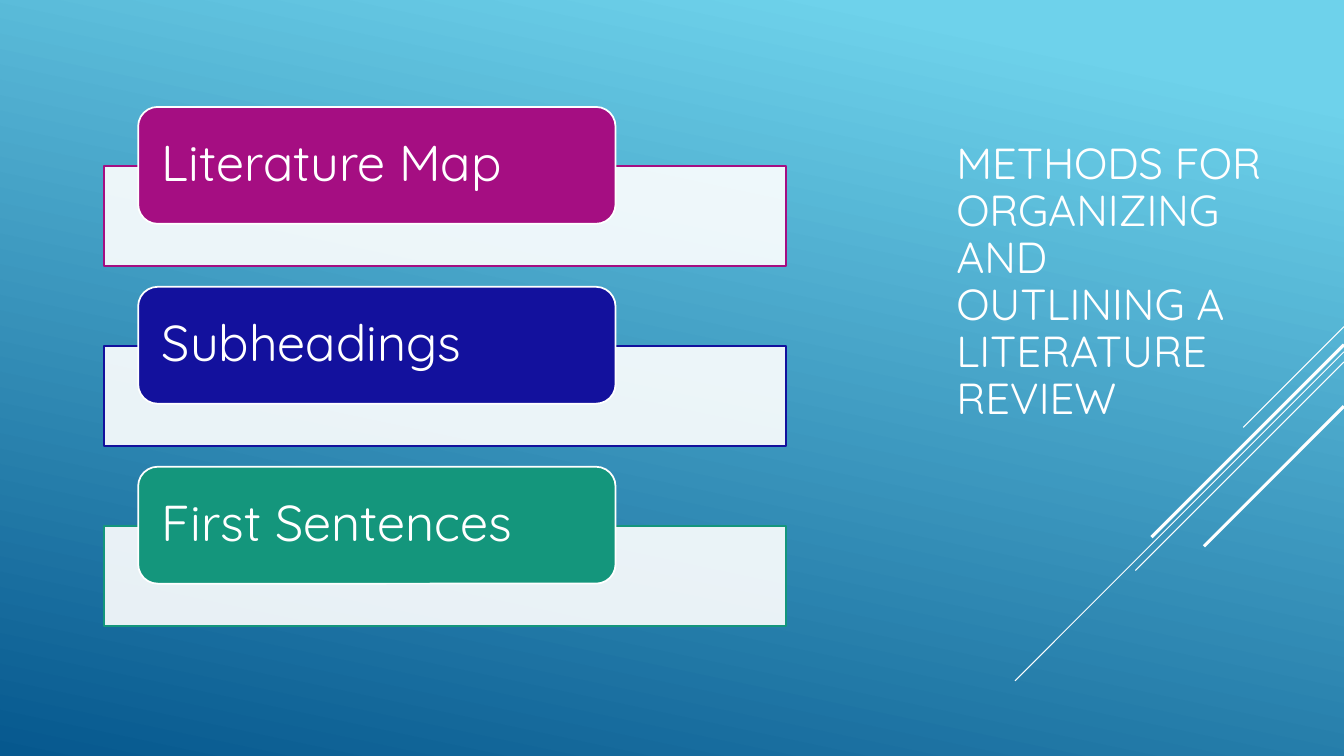
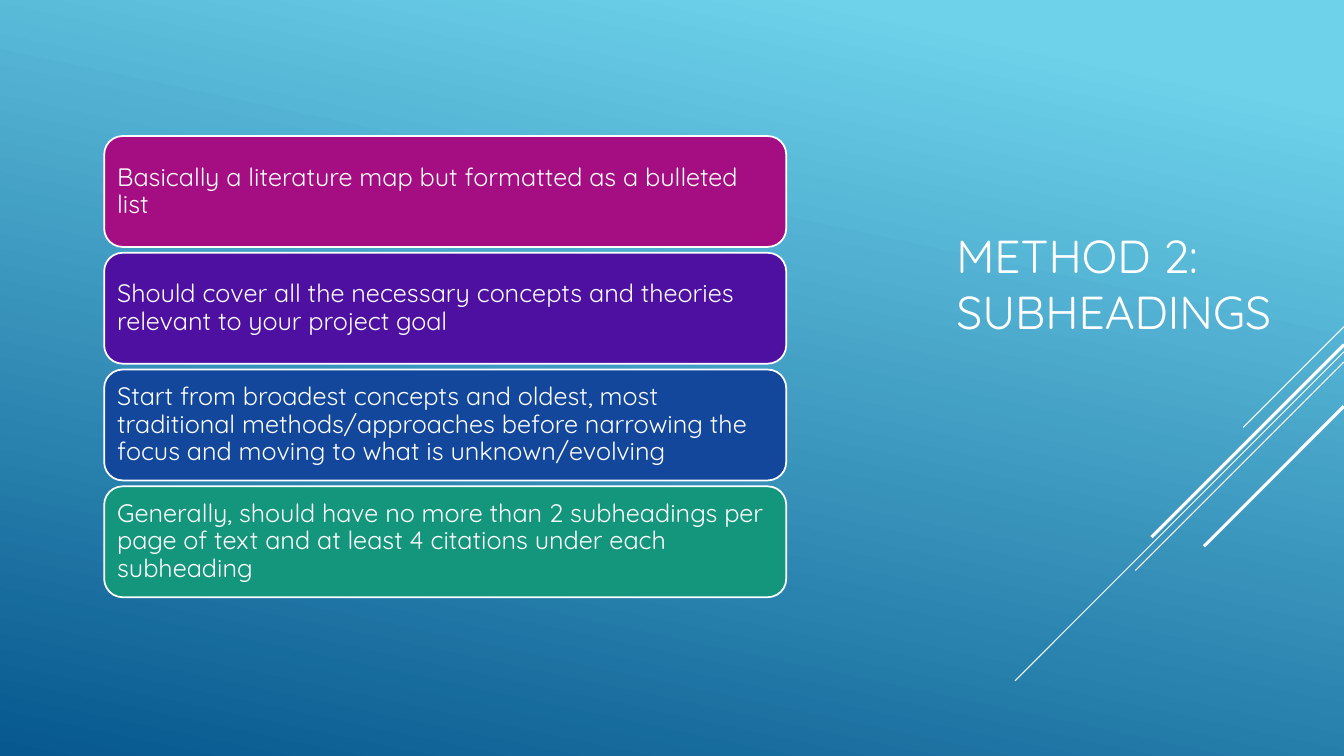
import pptx
import pptx.dml.color
import pptx.enum.shapes
import pptx.enum.text
import pptx.oxml.ns
import pptx.util
from dataclasses import dataclass
from lxml import etree

Pt = pptx.util.Pt
SHAPES = pptx.enum.shapes.MSO_SHAPE
SLIDE_WIDTH, SLIDE_HEIGHT = 960, 540
LIST_LEFT, LIST_WIDTH = 74.4, 487.2


@dataclass(frozen=True)
class Theme:
    font: str = "Quicksand"
    white: str = "FFFFFF"
    sky: str = "6ED2EB"
    sea: str = "06588E"
    magenta: str = "A50E82"
    violet: str = "4D10A0"
    navy: str = "13119D"
    blue: str = "12479B"
    green: str = "14967C"
    long_title_size: int = 31
    title_size: int = 33
    heading_size: int = 36
    body_size: int = 18
    outline: float = 1.25


THEME = Theme()


def rgb(color):
    return pptx.dml.color.RGBColor.from_string(color)


def write_text(frame, text, size, inset=(7.2, 3.6), line_spacing=0.9):
    """Fill a frame with one left-aligned, vertically centred paragraph."""
    frame.word_wrap = True
    frame.vertical_anchor = pptx.enum.text.MSO_ANCHOR.MIDDLE
    frame.margin_left = frame.margin_right = Pt(inset[0])
    frame.margin_top = frame.margin_bottom = Pt(inset[1])
    paragraph = frame.paragraphs[0]
    paragraph.alignment = pptx.enum.text.PP_ALIGN.LEFT
    paragraph.line_spacing = line_spacing
    run = paragraph.add_run()
    run.text = text
    run.font.name = THEME.font
    run.font.size = Pt(size)
    run.font.color.rgb = rgb(THEME.white)


class Deck:
    # Diagonals falling from the right edge at 45°: start height, run, weight
    RAYS = [
        (233.3, 72, 0.75),
        (251.3, 235, 0.75),
        (258.5, 149, 0.75),
        (246.2, 137.5, 2.25),
        (290.2, 100, 2.25),
    ]

    def __init__(self):
        self.presentation = pptx.Presentation()
        self.presentation.slide_width = Pt(SLIDE_WIDTH)
        self.presentation.slide_height = Pt(SLIDE_HEIGHT)
        self.slide = None

    def new_slide(self, title, title_size, line_spacing):
        blank = self.presentation.slide_layouts[6]
        self.slide = self.presentation.slides.add_slide(blank)
        self.background()
        for top, run, weight in self.RAYS:
            self.ray(top, run, weight)
        self.title(title, title_size, line_spacing)

    def background(self):
        fill = self.slide.background.fill
        fill.gradient()
        fill.gradient_angle = 258
        stops = [(0.1, THEME.sky), (1, THEME.sea)]
        for stop, (position, color) in zip(fill.gradient_stops, stops):
            stop.position = position
            stop.color.rgb = rgb(color)

    def ray(self, top, run, weight):
        ray = self.slide.shapes.add_connector(
            pptx.enum.shapes.MSO_CONNECTOR.STRAIGHT,
            Pt(SLIDE_WIDTH), Pt(top), Pt(SLIDE_WIDTH - run), Pt(top + run))
        ray.line.color.rgb = rgb(THEME.white)
        ray.line.width = Pt(weight)
        etree.SubElement(ray._element.spPr, pptx.oxml.ns.qn("a:effectLst"))

    def title(self, text, size, line_spacing):
        title = self.slide.shapes.add_textbox(Pt(676), Pt(74.2), Pt(240), Pt(255.6))
        write_text(title.text_frame, text, size, line_spacing=line_spacing)

    def block(self, kind, left, top, width, height, fill, outline, opacity=100):
        block = self.slide.shapes.add_shape(kind, Pt(left), Pt(top), Pt(width), Pt(height))
        block.shadow.inherit = False
        block.fill.solid()
        block.fill.fore_color.rgb = rgb(fill)
        block.line.color.rgb = rgb(outline)
        block.line.width = Pt(THEME.outline)
        if opacity < 100:
            color = block._element.spPr.find(".//" + pptx.oxml.ns.qn("a:srgbClr"))
            etree.SubElement(color, pptx.oxml.ns.qn("a:alpha"), val=str(opacity * 1000))
        return block

    def card(self, text, size, inset, left, top, width, height, color):
        card = self.block(SHAPES.ROUNDED_RECTANGLE, left, top, width, height,
                          color, THEME.white)
        write_text(card.text_frame, text, size, inset=inset)

    def tabbed_panel(self, text, top, color):
        """A pale panel with a coloured heading tab over its upper edge."""
        self.block(SHAPES.RECTANGLE, LIST_LEFT, top, LIST_WIDTH, 71.4,
                   THEME.white, color, opacity=90)
        self.card(text, THEME.heading_size, (12.9, 0),
                  LIST_LEFT + 24.3, top - 42.2, 341, 83.5, color)


def main():
    deck = Deck()

    deck.new_slide("METHODS FOR ORGANIZING AND OUTLINING A LITERATURE REVIEW",
                   THEME.long_title_size, 0.9)
    methods = [
        ("Literature Map", THEME.magenta),
        ("Subheadings", THEME.navy),
        ("First Sentences", THEME.green),
    ]
    for row, (method, color) in enumerate(methods):
        deck.tabbed_panel(method, 118.6 + row * 128.5, color)

    deck.new_slide("METHOD 2: SUBHEADINGS", THEME.title_size, 1.0)
    guidelines = [
        ("Basically a literature map but formatted as a bulleted list", THEME.magenta),
        ("Should cover all the necessary concepts and theories relevant to your "
         "project goal", THEME.violet),
        ("Start from broadest concepts and oldest, most traditional "
         "methods/approaches before narrowing the focus and moving to what is "
         "unknown/evolving", THEME.blue),
        ("Generally, should have no more than 2 subheadings per page of text and "
         "at least 4 citations under each subheading", THEME.green),
    ]
    for row, (guideline, color) in enumerate(guidelines):
        deck.card(guideline, THEME.body_size, (5.4, 5.4),
                  LIST_LEFT, 97.2 + row * 83.4, LIST_WIDTH, 79.2, color)

    deck.presentation.save("out.pptx")


if __name__ == "__main__":
    main()
